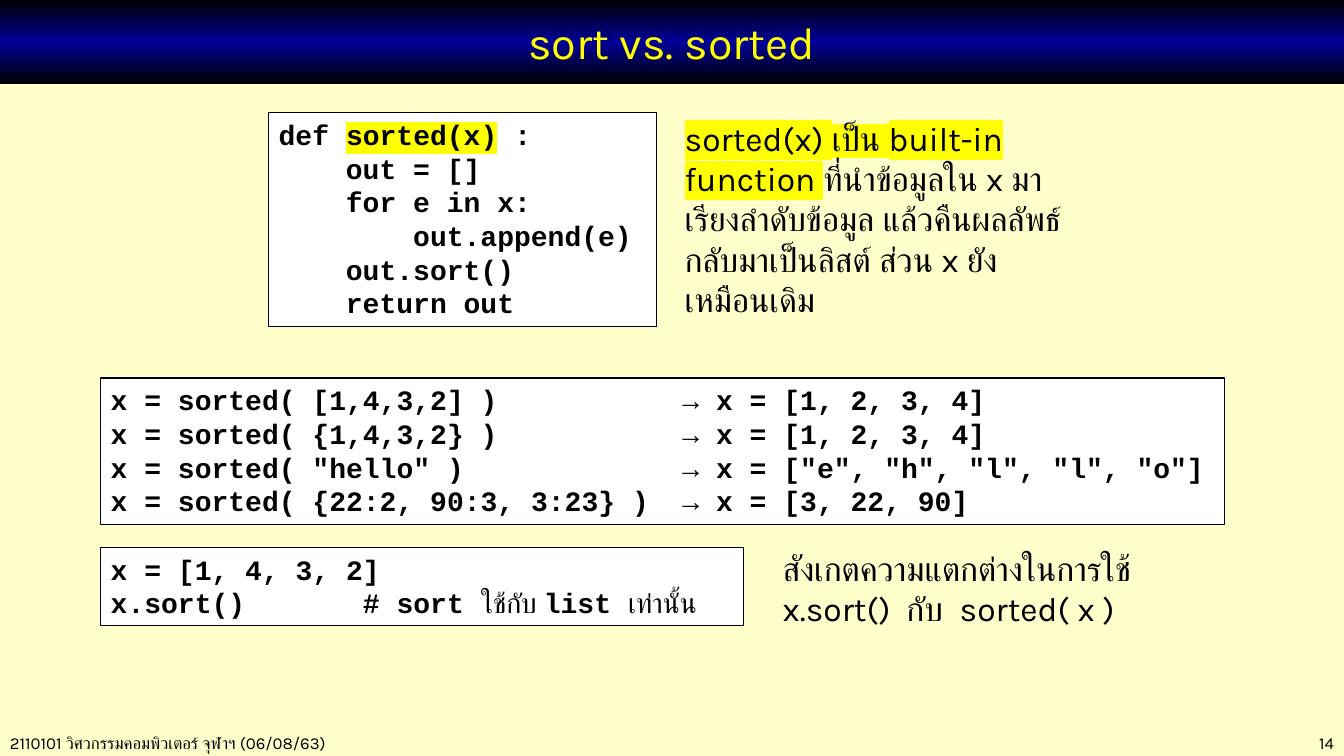
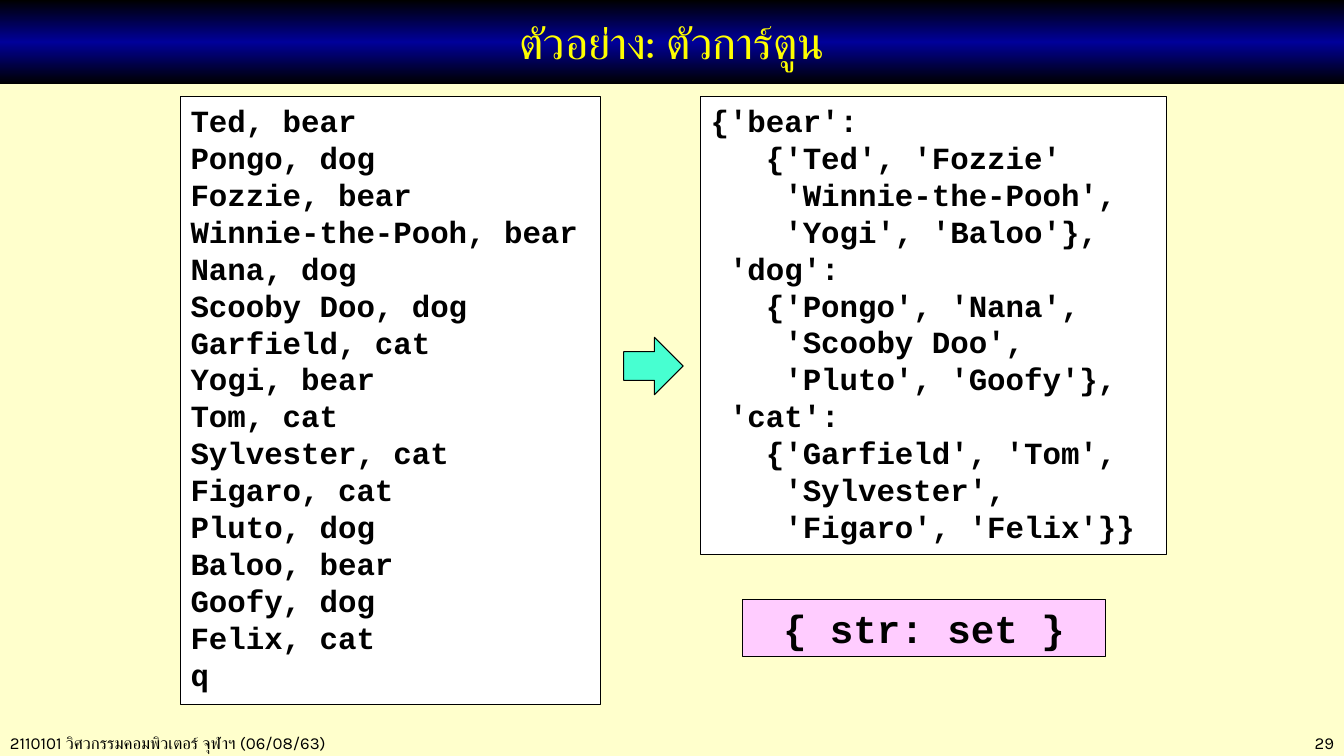
import copy
from dataclasses import dataclass

import pptx
import pptx.dml.color
import pptx.enum.shapes
import pptx.enum.text
import pptx.oxml.ns
import pptx.util
from lxml import etree

Pt = pptx.util.Pt
qn = pptx.oxml.ns.qn
ALIGN = pptx.enum.text.PP_ALIGN
SHAPE = pptx.enum.shapes.MSO_SHAPE
FIT = pptx.enum.text.MSO_AUTO_SIZE


@dataclass(frozen=True)
class Theme:
    paper: str = "FFFFCC"
    ink: str = "000000"
    panel: str = "FFFFFF"
    band_edge: str = "000000"
    band_core: str = "000099"
    title: str = "FFFF00"
    marker: str = "FFFF00"
    arrow: str = "47FFD1"
    type_tag: str = "FFCCFF"
    prose_font: str = "Karla"
    code_font: str = "Courier New"
    title_size: int = 32
    tag_size: int = 28
    prose_size: int = 24
    list_size: int = 22
    code_size: int = 20
    footer_size: int = 12
    line: float = 0.75


@dataclass(frozen=True)
class Box:
    x: float
    y: float
    w: float
    h: float

    def within(self, dx, dy, w, h):
        return Box(self.x + dx, self.y + dy, w, h)

    def lengths(self):
        return [Pt(v) for v in (self.x, self.y, self.w, self.h)]


@dataclass(frozen=True)
class Span:
    text: str
    bold: bool = False
    marked: bool = False


T = Theme()
PAGE = Box(0, 0, 960, 540)
FOOTER = "2110101 วิศวกรรมคอมพิวเตอร์ จุฬาฯ (06/08/63)"

SORTED_REST = """    out = []
    for e in x:
        out.append(e)
    out.sort()
    return out"""

SORTED_CALLS = """x = sorted( [1,4,3,2] )           → x = [1, 2, 3, 4]
x = sorted( {1,4,3,2} )           → x = [1, 2, 3, 4]
x = sorted( "hello" )             → x = ["e", "h", "l", "l", "o"]
x = sorted( {22:2, 90:3, 3:23} )  → x = [3, 22, 90]"""

CARTOON_INPUT = """Ted, bear
Pongo, dog
Fozzie, bear
Winnie-the-Pooh, bear
Nana, dog
Scooby Doo, dog
Garfield, cat
Yogi, bear
Tom, cat
Sylvester, cat
Figaro, cat
Pluto, dog
Baloo, bear
Goofy, dog
Felix, cat
q"""

CARTOON_SETS = """{'bear':
   {'Ted', 'Fozzie'
    'Winnie-the-Pooh',
    'Yogi', 'Baloo'},
 'dog':
   {'Pongo', 'Nana',
    'Scooby Doo',
    'Pluto', 'Goofy'},
 'cat':
   {'Garfield', 'Tom',
    'Sylvester',
    'Figaro', 'Felix'}}"""


def rgb(value):
    return pptx.dml.color.RGBColor.from_string(value)


def code(text):
    return [[Span(row, bold=True)] for row in text.split("\n")]


def mark(r):
    highlight = etree.Element(qn("a:highlight"))
    etree.SubElement(highlight, qn("a:srgbClr")).set("val", T.marker)
    r.font._element.find(qn("a:latin")).addprevious(highlight)


def write(tf, rows, size, font, color=T.ink, align=ALIGN.LEFT):
    tf.word_wrap = True
    for i, spans in enumerate(rows):
        p = tf.paragraphs[0] if i == 0 else tf.add_paragraph()
        p.alignment = align
        for span in spans:
            r = p.add_run()
            r.text = span.text
            r.font.size = Pt(size)
            r.font.bold = span.bold
            r.font.color.rgb = rgb(color)
            r.font.name = font
            if span.marked:
                mark(r)


def prose(s, box, spans, size=T.prose_size, align=ALIGN.LEFT):
    tf = s.shapes.add_textbox(*box.lengths()).text_frame
    write(tf, [spans], size, T.prose_font, align=align)


def outlined(s, kind, box, fill):
    sp = s.shapes.add_shape(kind, *box.lengths())
    sp.shadow.inherit = False
    sp.fill.solid()
    sp.fill.fore_color.rgb = rgb(fill)
    sp.line.color.rgb = rgb(T.ink)
    sp.line.width = Pt(T.line)
    return sp


def code_panel(s, box, rows, size=T.code_size, fill=T.panel, align=ALIGN.LEFT):
    tf = outlined(s, SHAPE.RECTANGLE, box, fill).text_frame
    tf.vertical_anchor = pptx.enum.text.MSO_ANCHOR.TOP
    write(tf, rows, size, T.code_font, align=align)
    tf.auto_size = FIT.SHAPE_TO_FIT_TEXT


def title_band(s, box, text):
    sp = s.shapes.title
    sp.left, sp.top, sp.width, sp.height = box.lengths()
    sp.fill.gradient()
    sp.fill.gradient_angle = 90
    stops = sp._element.spPr.find(".//" + qn("a:gsLst"))
    stops.append(copy.deepcopy(stops[0]))
    colors = (T.band_edge, T.band_core, T.band_edge)
    for stop, position, color in zip(sp.fill.gradient_stops, (0, 0.5, 1), colors):
        stop.position = position
        stop.color.rgb = rgb(color)
    tf = sp.text_frame
    tf.vertical_anchor = pptx.enum.text.MSO_ANCHOR.MIDDLE
    tf.auto_size = FIT.NONE
    write(tf, [[Span(text)]], T.title_size, T.prose_font, T.title, ALIGN.CENTER)


def footer(s, box, number):
    prose(s, box.within(0, 0, 374, box.h), [Span(FOOTER)], T.footer_size)
    prose(s, box.within(box.w - 132, 0, 132, box.h), [Span(str(number))],
          T.footer_size, ALIGN.RIGHT)


def new_slide(prs, title, number):
    s = prs.slides.add_slide(prs.slide_layouts[5])
    footer(s, PAGE.within(0, 520, PAGE.w, 21.6), number)
    title_band(s, PAGE.within(0, 0, PAGE.w, 60), title)
    return s


def definition_region(s, box):
    head = [Span("def ", True), Span("sorted(x)", True, True), Span(" :", True)]
    code_panel(s, box.within(0, 0, 277, box.h), [head] + code(SORTED_REST))
    prose(s, box.within(290, 0, 286, box.h), [
        Span("sorted(x) เป็น built-in function ", marked=True),
        Span("ที่นำข้อมูลใน x มาเรียงลำดับข้อมูล แล้วคืนผลลัพธ์กลับมาเป็นลิสต์ ส่วน x ยังเหมือนเดิม"),
    ])


def method_region(s, box):
    call = [Span("x.sort()       # sort ", True), Span("ใช้กับ "),
            Span("list ", True), Span("เท่านั้น")]
    code_panel(s, box.within(0, 0, 459, box.h), code("x = [1, 4, 3, 2]") + [call])
    prose(s, box.within(480, -3.5, 307, 65.5),
          [Span("สังเกตความแตกต่างในการใช้ x.sort()  กับ  sorted( x )")])


def sort_slide(prs):
    s = new_slide(prs, "sort vs. sorted", 14)
    definition_region(s, PAGE.within(192, 80.5, 576, 153))
    code_panel(s, PAGE.within(72, 270, 803, 104.5), code(SORTED_CALLS))
    method_region(s, PAGE.within(72, 391, 787, 56))


def grouping_region(s, box):
    code_panel(s, box.within(0, 0, 300, box.h), code(CARTOON_INPUT), T.list_size)
    code_panel(s, box.within(371.5, 0, 333, 327), code(CARTOON_SETS), T.list_size)
    outlined(s, SHAPE.RIGHT_ARROW, box.within(316.5, 172, 42.5, 41), T.arrow)
    code_panel(s, box.within(401.5, 359, 259, 41), code("{ str: set }"),
               T.tag_size, T.type_tag, ALIGN.CENTER)


def cartoon_slide(prs):
    s = new_slide(prs, "ตัวอย่าง: ตัวการ์ตูน", 29)
    grouping_region(s, PAGE.within(129, 69, 704.5, 434))


def main():
    prs = pptx.Presentation()
    prs.slide_width, prs.slide_height = Pt(PAGE.w), Pt(PAGE.h)
    fill = prs.slide_master.background.fill
    fill.solid()
    fill.fore_color.rgb = rgb(T.paper)
    sort_slide(prs)
    cartoon_slide(prs)
    prs.save("out.pptx")


if __name__ == "__main__":
    main()
